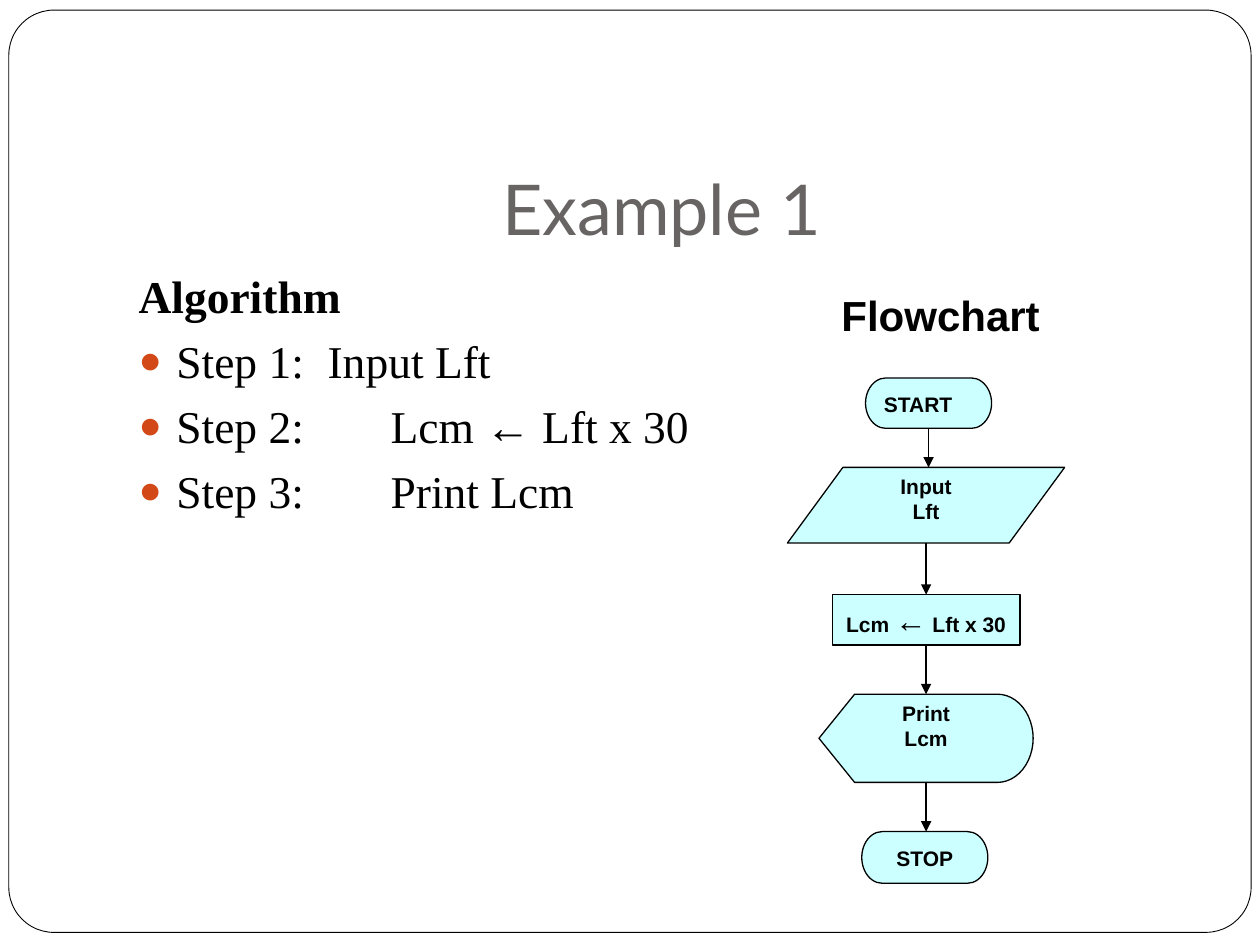
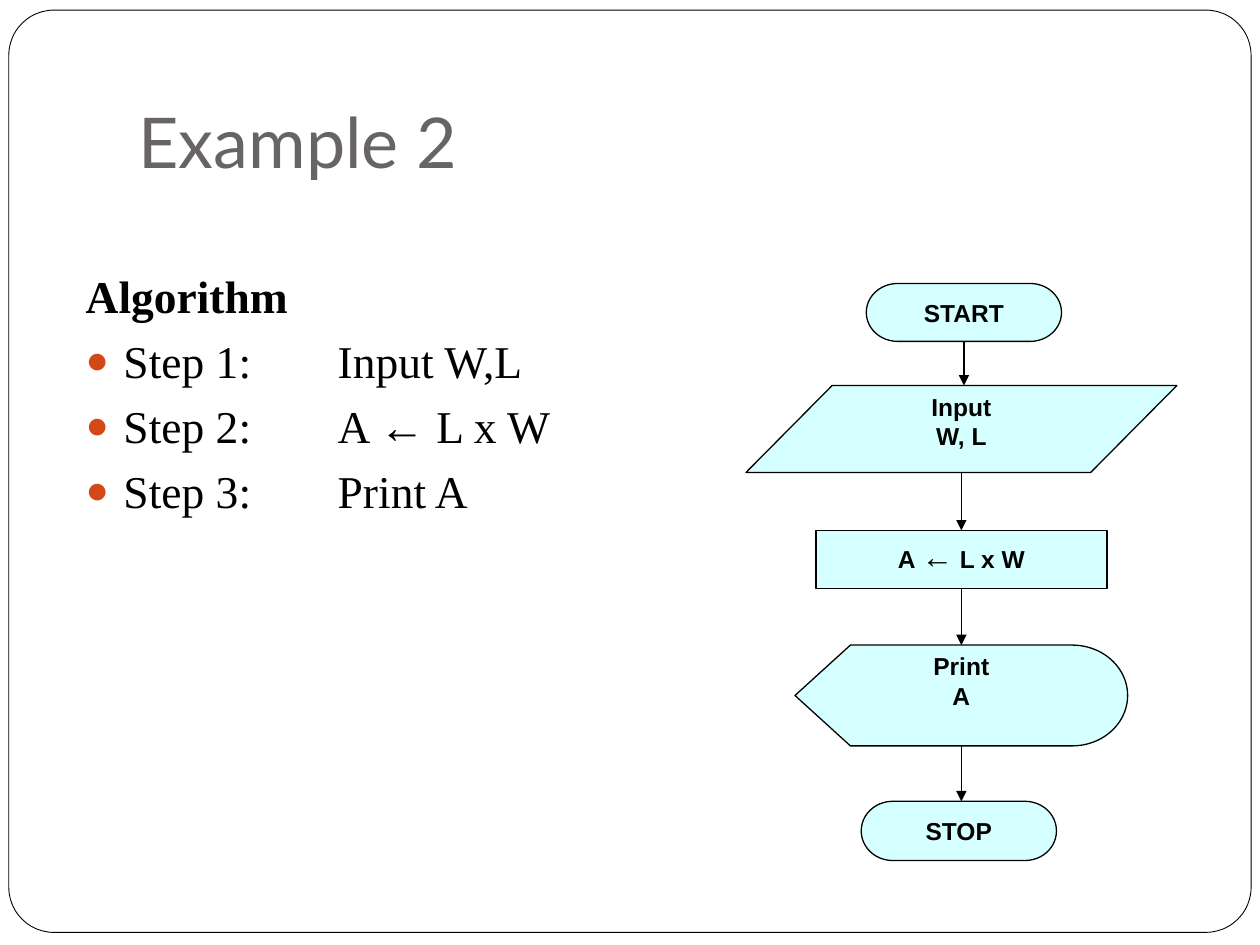
from dataclasses import dataclass

from lxml import etree
from pptx import Presentation
from pptx.dml.color import RGBColor
from pptx.enum.shapes import MSO_CONNECTOR, MSO_SHAPE as SHAPE
from pptx.enum.text import MSO_ANCHOR, MSO_AUTO_SIZE, PP_ALIGN as ALIGN
from pptx.oxml.ns import qn
from pptx.util import Inches, Pt


@dataclass(frozen=True)
class Theme:
    black: RGBColor = RGBColor(0x00, 0x00, 0x00)
    white: RGBColor = RGBColor(0xFF, 0xFF, 0xFF)
    title_grey: RGBColor = RGBColor(0x69, 0x64, 0x64)
    node_cyan: RGBColor = RGBColor(0xCC, 0xFF, 0xFF)
    bullet_red: str = "D34817"
    title_font: str = "Lato"
    body_font: str = "Times New Roman"
    chart_font: str = "Arial"
    title_size: int = 40
    body_size: int = 26
    heading_size: int = 24
    arrow_size: int = 18


theme = Theme()

# Each node: preset, lines, centre x, top, width, height, alignment
examples = [
    dict(
        title="Example 1", title_top=0.83, title_align=ALIGN.CENTER,
        body_box=(1, 2.08, 8.5, 5),
        steps=[("Step 1:\tInput Lft", 1.5), ("Step 2:\tLcm ← Lft x 30", 2),
               ("Step 3:\tPrint Lcm", 2)],
        heading="Flowchart", node_size=12, opacity=100,
        nodes=[
            (SHAPE.FLOWCHART_TERMINATOR, ["START"], 7.37, 3, 1, 0.4, ALIGN.LEFT),
            (SHAPE.FLOWCHART_DATA, ["Input", "Lft"], 7.35, 3.71, 2.2, 0.6, ALIGN.CENTER),
            (SHAPE.FLOWCHART_PROCESS, ["Lcm ← Lft x 30"], 7.35, 4.72, 1.49, 0.4, ALIGN.CENTER),
            (SHAPE.FLOWCHART_DISPLAY, ["Print", "Lcm"], 7.35, 5.51, 1.7, 0.7, ALIGN.CENTER),
            (SHAPE.FLOWCHART_TERMINATOR, ["STOP"], 7.34, 6.6, 1, 0.41, ALIGN.CENTER),
        ],
    ),
    dict(
        title="Example 2", title_top=0.3, title_align=ALIGN.LEFT,
        body_box=(0.58, 2.08, 9, 4.25),
        steps=[("Step 1:\tInput W,L", 2), ("Step 2:\tA ← L x W", 2),
               ("Step 3:\tPrint A", 2)],
        heading=None, node_size=14, opacity=80,
        nodes=[
            (SHAPE.FLOWCHART_TERMINATOR, ["START"], 7.65, 2.25, 1.55, 0.46, ALIGN.CENTER),
            (SHAPE.FLOWCHART_DATA, ["Input", "W, L"], 7.63, 3.06, 3.42, 0.69, ALIGN.CENTER),
            (SHAPE.FLOWCHART_PROCESS, ["A ← L x W"], 7.63, 4.21, 2.31, 0.46, ALIGN.CENTER),
            (SHAPE.FLOWCHART_DISPLAY, ["Print", "A"], 7.63, 5.12, 2.64, 0.8, ALIGN.CENTER),
            (SHAPE.FLOWCHART_TERMINATOR, ["STOP"], 7.61, 6.36, 1.55, 0.47, ALIGN.CENTER),
        ],
    ),
]


def add_run(paragraph, text, font, size, color, bold=False):
    run = paragraph.add_run()
    run.text = text
    run.font.name = font
    run.font.size = Pt(size)
    run.font.color.rgb = color
    run.font.bold = bold


def add_bullet_and_tab(paragraph, tab_inches):
    """Give the paragraph a round red bullet and one left tab stop."""
    properties = paragraph._p.get_or_add_pPr()
    color = etree.SubElement(properties, qn("a:buClr"))
    etree.SubElement(color, qn("a:srgbClr"), val=theme.bullet_red)
    etree.SubElement(properties, qn("a:buSzPct"), val="85000")
    etree.SubElement(properties, qn("a:buFont"), typeface=theme.chart_font)
    etree.SubElement(properties, qn("a:buChar"), char="●")
    tabs = etree.SubElement(properties, qn("a:tabLst"))
    etree.SubElement(tabs, qn("a:tab"), pos=str(Inches(tab_inches)), algn="l")


presentation = Presentation()
presentation.slide_width = Inches(10)
presentation.slide_height = Inches(7.5)
layout = presentation.slide_layouts[1]

for number, example in enumerate(examples):
    slide = presentation.slides.add_slide(layout)

    # The rounded frame is drawn once and moved behind everything on the layout
    if number == 0:
        frame = slide.shapes.add_shape(
            SHAPE.ROUNDED_RECTANGLE, Inches(0.07), Inches(0.08), Inches(9.86), Inches(7.32))
        frame.adjustments[0] = 0.049
        frame.shadow.inherit = False
        frame.fill.solid()
        frame.fill.fore_color.rgb = theme.white
        frame.line.color.rgb = theme.black
        frame.line.width = Pt(0.5)
        layout.shapes.element.insert(2, frame.element)

    # Title
    title = slide.shapes.title
    title.left, title.top = Inches(1), Inches(example["title_top"])
    title.width, title.height = Inches(8.5), Inches(1.25)
    title_frame = title.text_frame
    title_frame.auto_size = MSO_AUTO_SIZE.NONE
    title_frame.vertical_anchor = MSO_ANCHOR.BOTTOM
    title_frame.margin_bottom = Inches(0.1)
    paragraph = title_frame.paragraphs[0]
    paragraph.alignment = example["title_align"]
    add_run(paragraph, example["title"], theme.title_font, theme.title_size, theme.title_grey)

    # Algorithm
    body = slide.placeholders[1]
    body.left, body.top, body.width, body.height = map(Inches, example["body_box"])
    body_frame = body.text_frame
    body_frame.auto_size = MSO_AUTO_SIZE.NONE
    paragraph = body_frame.paragraphs[0]
    paragraph.space_before = Pt(0)
    properties = paragraph._p.get_or_add_pPr()
    properties.set("marL", "0")
    properties.set("indent", "0")
    etree.SubElement(properties, qn("a:buNone"))
    add_run(paragraph, "Algorithm", theme.body_font, theme.body_size, theme.black, True)
    for step, tab_inches in example["steps"]:
        paragraph = body_frame.add_paragraph()
        paragraph.space_before = Pt(5.8)
        properties = paragraph._p.get_or_add_pPr()
        properties.set("marL", str(Inches(0.3)))
        properties.set("indent", str(-Inches(0.3)))
        add_bullet_and_tab(paragraph, tab_inches)
        add_run(paragraph, step, theme.body_font, theme.body_size, theme.black)

    # Flowchart nodes
    flowchart = slide.shapes.add_group_shape().shapes
    drawn = []
    for preset, lines, centre, top, width, height, alignment in example["nodes"]:
        node = flowchart.add_shape(
            preset, Inches(centre - width / 2), Inches(top), Inches(width), Inches(height))
        node.shadow.inherit = False
        node.fill.solid()
        node.fill.fore_color.rgb = theme.node_cyan
        if example["opacity"] < 100:
            color = node.element.spPr.find(qn("a:solidFill"))[0]
            etree.SubElement(color, qn("a:alpha"), val=str(example["opacity"] * 1000))
        node.line.color.rgb = theme.black
        node.line.width = Pt(0.75)
        node_frame = node.text_frame
        node_frame.word_wrap = True
        node_frame.vertical_anchor = MSO_ANCHOR.TOP
        for index, line in enumerate(lines):
            paragraph = node_frame.add_paragraph() if index else node_frame.paragraphs[0]
            paragraph.alignment = alignment
            before, arrow, after = line.partition("←")
            add_run(paragraph, before, theme.chart_font, example["node_size"], theme.black, True)
            if arrow:
                add_run(paragraph, arrow, theme.chart_font, theme.arrow_size, theme.black)
                add_run(paragraph, after, theme.chart_font, example["node_size"], theme.black, True)
        drawn.append((node, preset, centre))

    # Each arrow drops straight from the centre of the upper node
    for (upper, upper_preset, x), (lower, lower_preset, lower_x) in zip(drawn, drawn[1:]):
        connector = flowchart.add_connector(
            MSO_CONNECTOR.STRAIGHT, Inches(x), upper.top + upper.height, Inches(x), lower.top)
        if upper_preset != SHAPE.FLOWCHART_DATA:
            connector.begin_connect(upper, 2)
        if lower_preset != SHAPE.FLOWCHART_DATA and lower_x == x:
            connector.end_connect(lower, 0)
        connector.line.color.rgb = theme.black
        connector.line.width = Pt(0.75)
        etree.SubElement(connector.line._get_or_add_ln(), qn("a:tailEnd"), type="triangle")
        etree.SubElement(connector.element.spPr, qn("a:effectLst"))

    # Flowchart heading
    if example["heading"]:
        heading = slide.shapes.add_textbox(Inches(6.58), Inches(2.25), Inches(2.42), Inches(0.5))
        heading.text_frame.word_wrap = True
        add_run(heading.text_frame.paragraphs[0], example["heading"],
                theme.chart_font, theme.heading_size, theme.black, True)

presentation.save("out.pptx")
